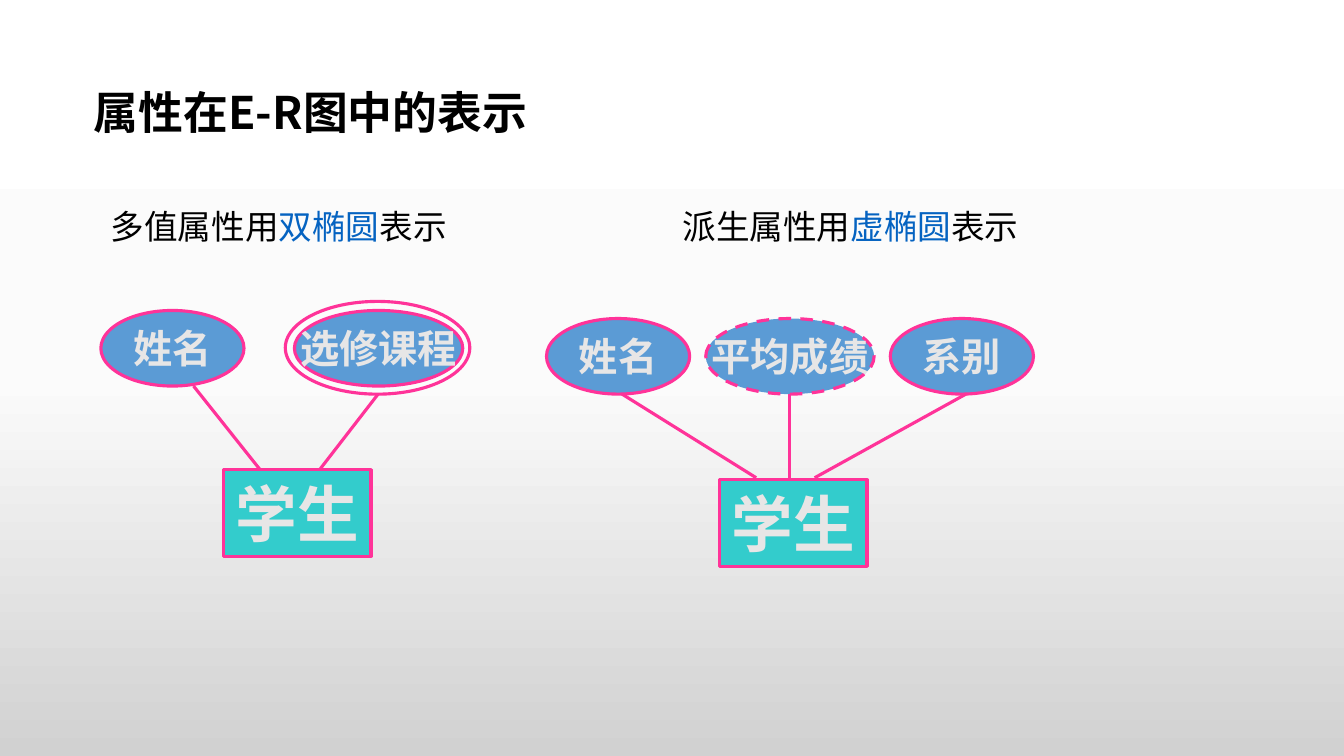
from copy import deepcopy
from lxml.etree import SubElement as Sub
from pptx import Presentation
from pptx.dml.color import RGBColor as RGB
from pptx.enum.dml import MSO_LINE as Dash
from pptx.enum.shapes import MSO_CONNECTOR as Conn, MSO_SHAPE as Kind
from pptx.enum.text import MSO_ANCHOR as Anchor, MSO_AUTO_SIZE as Fit, PP_ALIGN as Align
from pptx.oxml.ns import qn
from pptx.util import Pt

PX = 9144
HAN = "Noto Sans CJK SC"
COLORS = {
    "black": "000000", "link": "0563C1", "pink": "FF3399", "teal": "33CCCC",
    "blue": "5B9BD5", "pale": "E7E6E6",
    "top": "FFFFFF", "mid": "FBFBFB", "base": "D1D1D1",
}


def px(*nums):
    return [n * PX for n in nums]


def tint(name):
    return RGB.from_string(COLORS[name])


def add_run(para, text, size, color, face=HAN, bold=False):
    run = para.add_run()
    run.text = text
    font = run.font
    font.size, font.bold, font.name = Pt(size), bold, face
    font.color.rgb = tint(color)
    Sub(run._r.get_or_add_rPr(), qn("a:ea"), typeface=HAN)


def paint_back(slide):
    fill = slide.background.fill
    fill.gradient()
    fill.gradient_angle = 270
    stops = slide._element.find(".//" + qn("a:gsLst"))
    stops.insert(1, deepcopy(stops[0]))
    for stop, name, pos in zip(fill.gradient_stops, ("top", "mid", "base"), (0, 0.5, 1)):
        stop.color.rgb = tint(name)
        stop.position = pos


def set_title(slide, text):
    title = slide.shapes.title
    title.left, title.top, title.width, title.height = px(83, 67, 850, 95)
    frame = title.text_frame
    frame.auto_size = Fit.NONE
    frame.vertical_anchor = Anchor.MIDDLE
    para = frame.paragraphs[0]
    para.alignment = Align.LEFT
    para.line_spacing = 0.9
    add_run(para, text, 32, "black", bold=True)


def add_note(slide, left, width, parts):
    frame = slide.shapes.add_textbox(*px(left, 199, width, 50)).text_frame
    frame.word_wrap = True
    for text, color in zip(parts, ("black", "link", "black")):
        add_run(frame.paragraphs[0], text, 24, color, "Lato")


def add_node(group, kind, area, fill=None, text=None, size=28, dash=None):
    node = group.shapes.add_shape(kind, *px(*area))
    node.shadow.inherit = False
    if fill:
        node.fill.solid()
        node.fill.fore_color.rgb = tint(fill)
    else:
        node.fill.background()
    node.line.color.rgb = tint("pink")
    node.line.width = Pt(2.25)
    if dash:
        node.line.dash_style = dash
    if text:
        frame = node.text_frame
        frame.word_wrap = False
        frame.vertical_anchor = Anchor.MIDDLE
        para = frame.paragraphs[0]
        para.alignment = Align.CENTER
        add_run(para, text, size, "pale", bold=True)


def add_oval(group, left, top, width, text, dash=None):
    add_node(group, Kind.OVAL, (left, top, width, 75), "blue", text, dash=dash)


def add_box(group, left, top, text):
    add_node(group, Kind.RECTANGLE, (left, top, 146, 86), "teal", text, 44)


def add_link(group, *ends):
    link = group.shapes.add_connector(Conn.STRAIGHT, *px(*ends))
    link.line.color.rgb = tint("pink")
    link.line.width = Pt(2.25)
    Sub(link._element.spPr, qn("a:effectLst"))


def draw_multi(slide):
    group = slide.shapes.add_group_shape()
    add_box(group, 222, 466, "学生")
    add_oval(group, 100, 308, 142, "姓名")
    add_oval(group, 292, 308, 167, "选修课程")
    add_link(group, 375, 391, 317, 466)
    add_link(group, 258, 466, 192, 383)
    add_node(group, Kind.OVAL, (283, 299, 183, 92))


def draw_derived(slide):
    group = slide.shapes.add_group_shape()
    add_box(group, 714, 476, "学生")
    add_oval(group, 542, 316, 142, "姓名")
    add_oval(group, 700, 316, 167, "平均成绩", Dash.DASH)
    add_oval(group, 883, 316, 142, "系别")
    for start, end in ((783, 783), (750, 617), (808, 958)):
        add_link(group, start, 474, end, 391)


def main():
    deck = Presentation()
    deck.slide_width, deck.slide_height = px(1333, 750)
    slide = deck.slides.add_slide(deck.slide_layouts[5])
    paint_back(slide)
    set_title(slide, "属性在E-R图中的表示")
    draw_multi(slide)
    add_note(slide, 100, 383, ("多值属性用", "双椭圆", "表示"))
    draw_derived(slide)
    add_note(slide, 667, 375, ("派生属性用", "虚椭圆", "表示"))
    deck.save("out.pptx")


if __name__ == "__main__":
    main()
